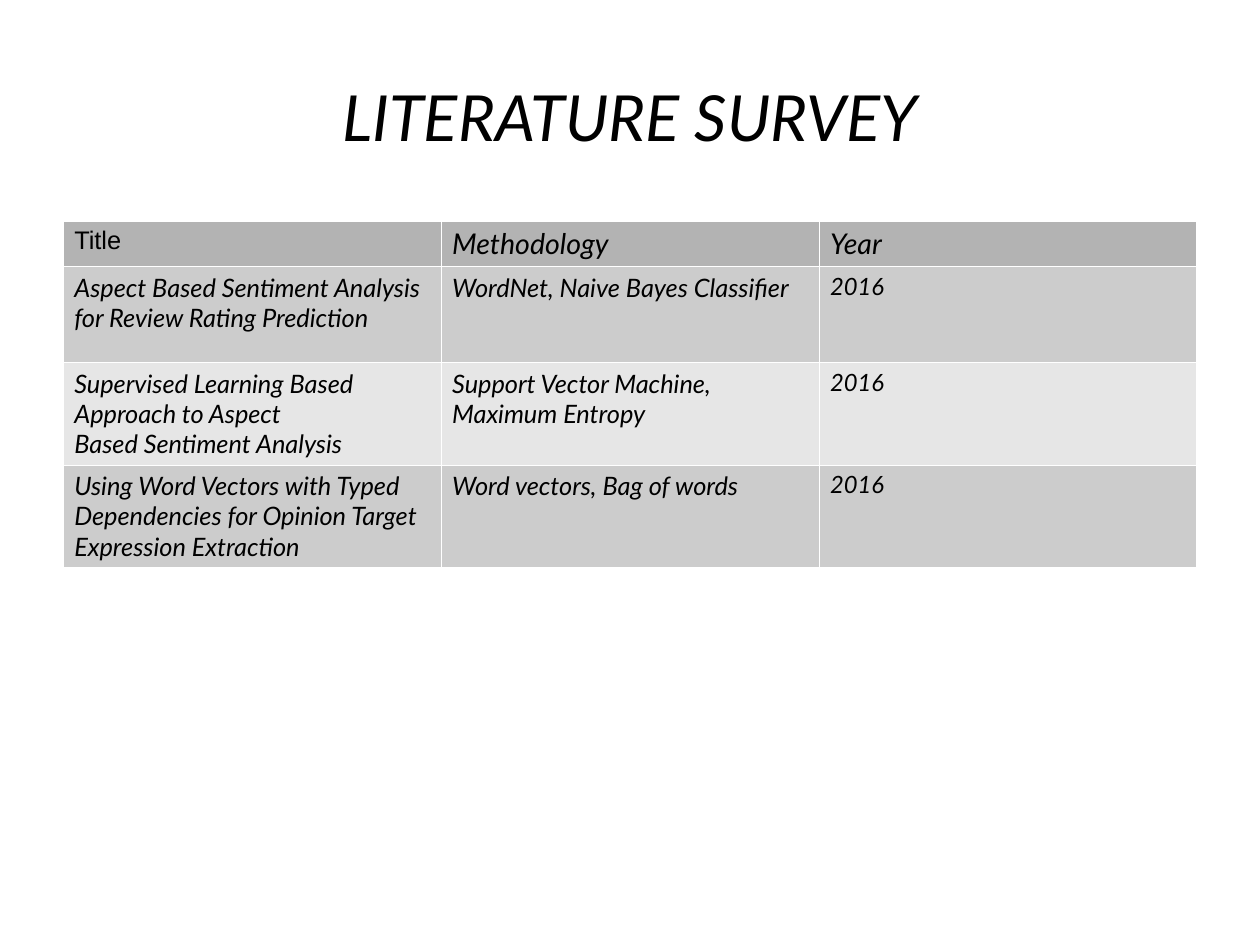
import pptx
import pptx.util
import pptx.dml.color
import pptx.enum.text
import lxml.etree
from pptx.util import Inches


def rgb(color):
    return pptx.dml.color.RGBColor.from_string(color)


def add_text(tf, text, size=16, font="Lato", italic=True, color="000000", align="LEFT"):
    """Fill a text frame, one paragraph for each line of text."""
    for i, line in enumerate(text.split("\n")):
        p = tf.paragraphs[0] if i == 0 else tf.add_paragraph()
        p.alignment = pptx.enum.text.PP_ALIGN[align]
        r = p.add_run()
        r.text = line
        r.font.size = pptx.util.Pt(size)
        r.font.name = font
        r.font.italic = italic
        r.font.bold = False
        r.font.color.rgb = rgb(color)


# Slide size is a whole number of quarter points
prs = pptx.Presentation()
prs.slide_width, prs.slide_height = pptx.util.Pt(793.75), pptx.util.Pt(595.25)
s = prs.slides.add_slide(prs.slide_layouts[5])
left, width = Inches(0.55), Inches(9.92)

# Title
title = s.shapes.title
title.left, title.top, title.width, title.height = left, Inches(0.33), width, Inches(1.38)
tf = title.text_frame
tf.margin_left = tf.margin_right = tf.margin_top = tf.margin_bottom = 0
tf.vertical_anchor = pptx.enum.text.MSO_ANCHOR.MIDDLE
tf.word_wrap = True
add_text(tf, "LITERATURE SURVEY", size=40, align="CENTER")

# Survey table
rows = [
    ("Title", "Methodology", "Year"),
    ("Aspect Based Sentiment Analysis\nfor Review Rating Prediction",
     "WordNet, Naive Bayes Classifier", "2016"),
    ("Supervised Learning Based Approach to Aspect\nBased Sentiment Analysis",
     "Support Vector Machine, Maximum Entropy", "2016"),
    ("Using Word Vectors with Typed Dependencies for Opinion Target Expression Extraction",
     "Word vectors, Bag of words", "2016"),
]
heights = [0.38, 0.84, 0.84, 0.84]
fills = ["B3B3B3", "CCCCCC", "E6E6E6", "CCCCCC"]
header_formats = [{"font": "Arial", "italic": False}, {"size": 18}, {"size": 18}]
body_formats = [{}, {}, {"size": 15}]
ns = "http://schemas.openxmlformats.org/drawingml/2006/main"

table = s.shapes.add_table(len(rows), 3, left, Inches(1.93), width, Inches(sum(heights))).table
for i, row in enumerate(rows):
    table.rows[i].height = Inches(heights[i])
    formats = header_formats if i == 0 else body_formats
    for j, text in enumerate(row):
        cell = table.cell(i, j)
        cell.margin_left = cell.margin_right = Inches(0.1)
        cell.margin_top = cell.margin_bottom = Inches(0.05)
        add_text(cell.text_frame, text, **formats[j])
        # Thin white borders go before the fill
        tc_pr = cell._tc.get_or_add_tcPr()
        for side in ("lnL", "lnR", "lnT", "lnB"):
            ln = lxml.etree.SubElement(tc_pr, f"{{{ns}}}{side}", w="720")
            fill = lxml.etree.SubElement(ln, f"{{{ns}}}solidFill")
            lxml.etree.SubElement(fill, f"{{{ns}}}srgbClr", val="FFFFFF")
        cell.fill.solid()
        cell.fill.fore_color.rgb = rgb(fills[i])

prs.save("out.pptx")
